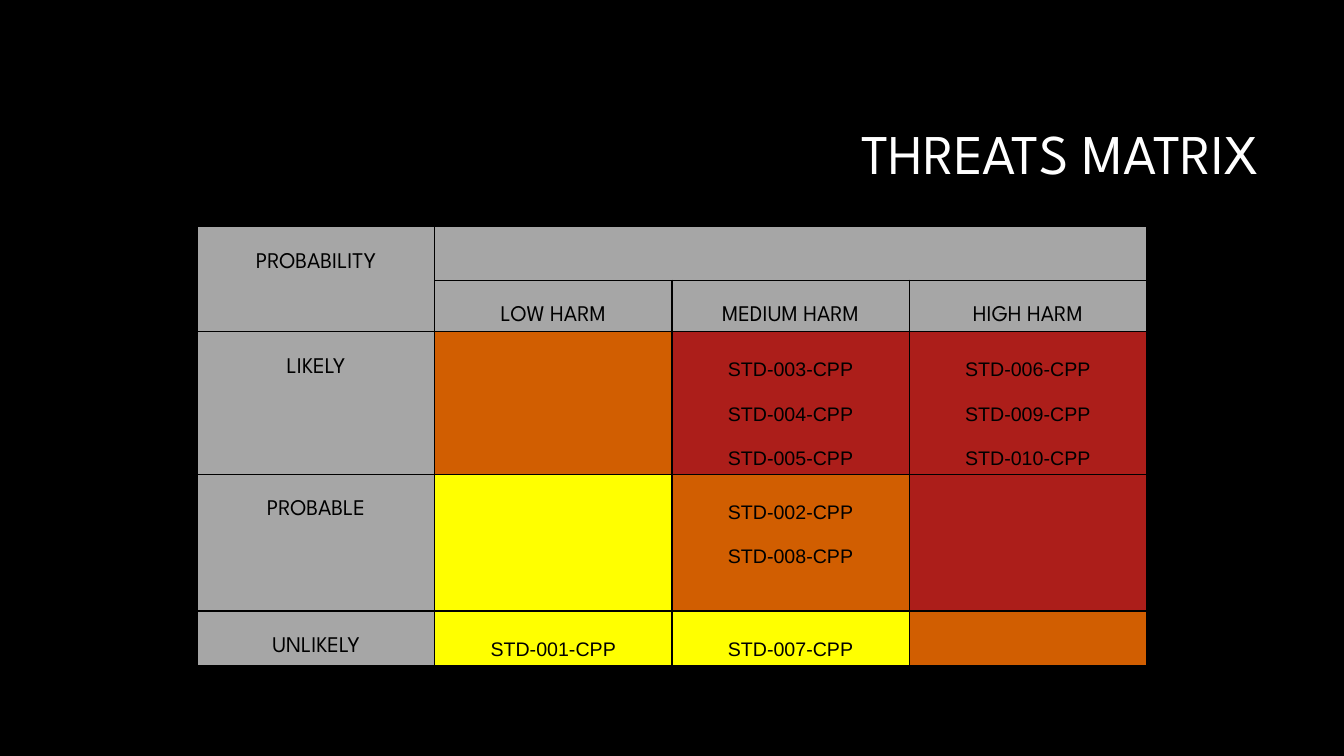
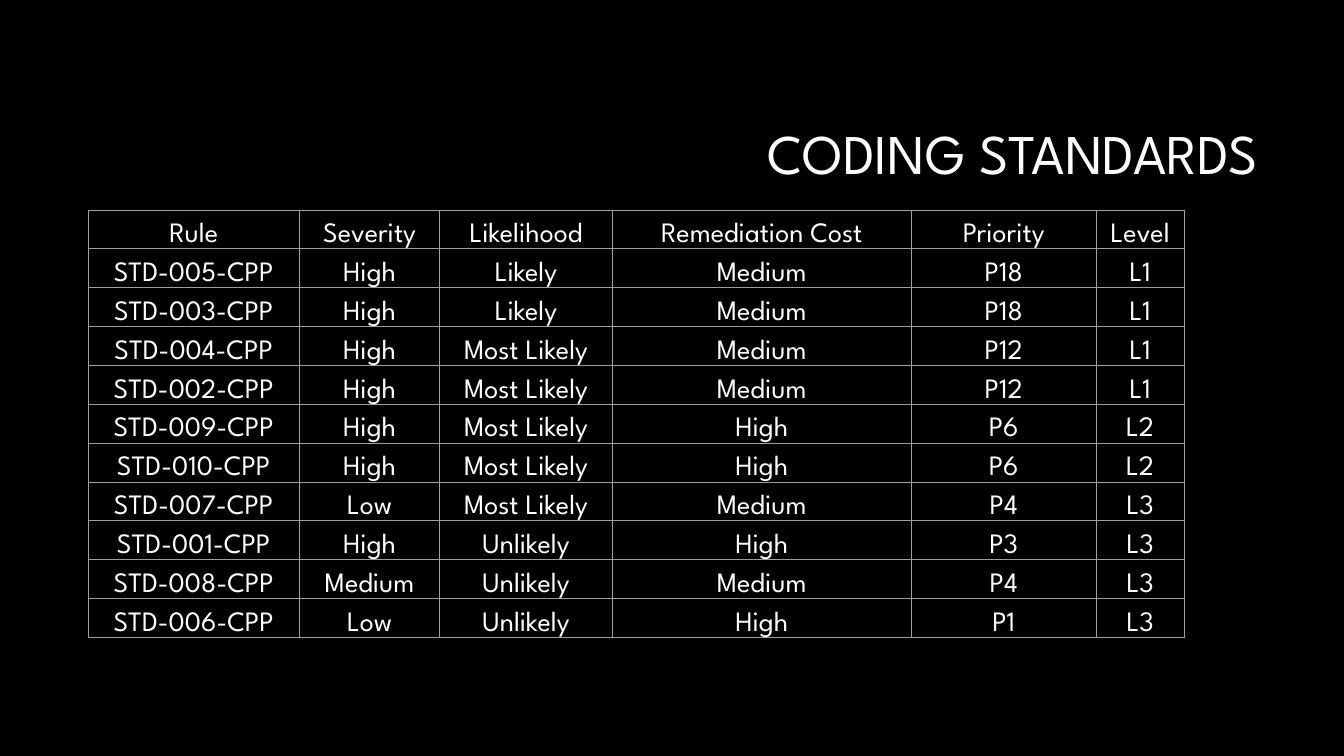
from lxml import etree
from pptx import Presentation
from pptx.dml.color import RGBColor
from pptx.enum.text import MSO_ANCHOR, PP_ALIGN
from pptx.oxml.ns import qn
from pptx.util import Pt

PX = 9525
CENTER, RIGHT = PP_ALIGN.CENTER, PP_ALIGN.RIGHT
MIDDLE = MSO_ANCHOR.MIDDLE
TITLE_ONLY = 5
BLACK, WHITE, GREY, LINE_GREY = "000000", "FFFFFF", "A6A6A6", "9E9E9E"
ORANGE, RED, YELLOW = "D15E01", "AC1E1A", "FFFF00"
HEADING_FONT, CODE_FONT = "League Spartan", "Arial"


def write(frame, text, size=20, font=HEADING_FONT, color=WHITE, align=CENTER, spacing=1.5):
    for index, line in enumerate(text.split("\n")):
        para = frame.paragraphs[0] if index == 0 else frame.add_paragraph()
        para.alignment = align
        para.line_spacing = spacing
        span = para.add_run()
        span.text = line
        span.font.size = Pt(size)
        span.font.name = font
        span.font.color.rgb = RGBColor.from_string(color)


def draw_borders(cell, color, width):
    properties = cell._tc.get_or_add_tcPr()
    for index, side in enumerate(("a:lnL", "a:lnR", "a:lnT", "a:lnB")):
        line = etree.Element(qn(side), w=str(Pt(width)))
        fill = etree.SubElement(line, qn("a:solidFill"))
        etree.SubElement(fill, qn("a:srgbClr"), val=color)
        properties.insert(index, line)


matrix_label = {"size": 16, "color": BLACK, "spacing": 2}
matrix_code = {"size": 14, "font": CODE_FONT, "color": BLACK, "spacing": 2}

pages = [
    {
        "title": "THREATS MATRIX",
        "left": 188, "top": 216,
        "widths": [226] * 4,
        "heights": [51, 49, 135, 130, 51],
        "border": (BLACK, 1),
        "insets": (10, 5),
        "label": matrix_label, "code": matrix_code,
        "merges": [((0, 0), (1, 0)), ((0, 1), (0, 3))],
        "fills": [
            [GREY] * 4,
            [GREY] * 4,
            [GREY, ORANGE, RED, RED],
            [GREY, YELLOW, ORANGE, RED],
            [GREY, YELLOW, YELLOW, ORANGE],
        ],
        "rows": [
            ["PROBABILITY", "", "", ""],
            ["", "LOW HARM", "MEDIUM HARM", "HIGH HARM"],
            ["LIKELY", "", "STD-003-CPP\nSTD-004-CPP\nSTD-005-CPP",
             "STD-006-CPP\nSTD-009-CPP\nSTD-010-CPP"],
            ["PROBABLE", "", "STD-002-CPP\nSTD-008-CPP", ""],
            ["UNLIKELY", "STD-001-CPP", "STD-007-CPP", ""],
        ],
    },
    {
        "title": "CODING STANDARDS",
        "left": 84, "top": 200,
        "widths": [201, 134, 164, 285, 176, 84],
        "heights": [37] * 11,
        "border": (LINE_GREY, 0.75),
        "insets": (7, 0),
        "label": {}, "code": {},
        "merges": [],
        "fills": [[None] * 6] * 11,
        "rows": [
            ["Rule", "Severity", "Likelihood", "Remediation Cost", "Priority", "Level"],
            ["STD-005-CPP", "High", "Likely", "Medium", "P18", "L1"],
            ["STD-003-CPP", "High", "Likely", "Medium", "P18", "L1"],
            ["STD-004-CPP", "High", "Most Likely", "Medium", "P12", "L1"],
            ["STD-002-CPP", "High", "Most Likely", "Medium", "P12", "L1"],
            ["STD-009-CPP", "High", "Most Likely", "High", "P6", "L2"],
            ["STD-010-CPP", "High", "Most Likely", "High", "P6", "L2"],
            ["STD-007-CPP", "Low", "Most Likely", "Medium", "P4", "L3"],
            ["STD-001-CPP", "High", "Unlikely", "High", "P3", "L3"],
            ["STD-008-CPP", "Medium", "Unlikely", "Medium", "P4", "L3"],
            ["STD-006-CPP", "Low", "Unlikely", "High", "P1", "L3"],
        ],
    },
]

deck = Presentation()
deck.slide_width, deck.slide_height = 1280 * PX, 720 * PX
background = deck.slide_master.background.fill
background.solid()
background.fore_color.rgb = RGBColor.from_string(BLACK)

for page in pages:
    slide = deck.slides.add_slide(deck.slide_layouts[TITLE_ONLY])
    title = slide.shapes.title
    title.left, title.top, title.width, title.height = 304 * PX, 81 * PX, 904 * PX, 135 * PX
    title.text_frame.vertical_anchor = MIDDLE
    write(title.text_frame, page["title"], size=40, align=RIGHT, spacing=0.9)

    widths, heights = page["widths"], page["heights"]
    table = slide.shapes.add_table(
        len(heights), len(widths), page["left"] * PX, page["top"] * PX,
        sum(widths) * PX, sum(heights) * PX).table
    table.first_row = False
    table.horz_banding = False
    for column, width in zip(table.columns, widths):
        column.width = width * PX
    for row, height in zip(table.rows, heights):
        row.height = height * PX
    for first, last in page["merges"]:
        table.cell(*first).merge(table.cell(*last))

    side_inset, end_inset = page["insets"]
    for row_index, texts in enumerate(page["rows"]):
        for column_index, text in enumerate(texts):
            cell = table.cell(row_index, column_index)
            cell.margin_left = cell.margin_right = side_inset * PX
            cell.margin_top = cell.margin_bottom = end_inset * PX
            color = page["fills"][row_index][column_index]
            if color:
                cell.fill.solid()
                cell.fill.fore_color.rgb = RGBColor.from_string(color)
            else:
                cell.fill.background()
            draw_borders(cell, *page["border"])
            if text:
                style = page["code"] if text.startswith("STD") else page["label"]
                write(cell.text_frame, text, **style)

deck.save("out.pptx")
